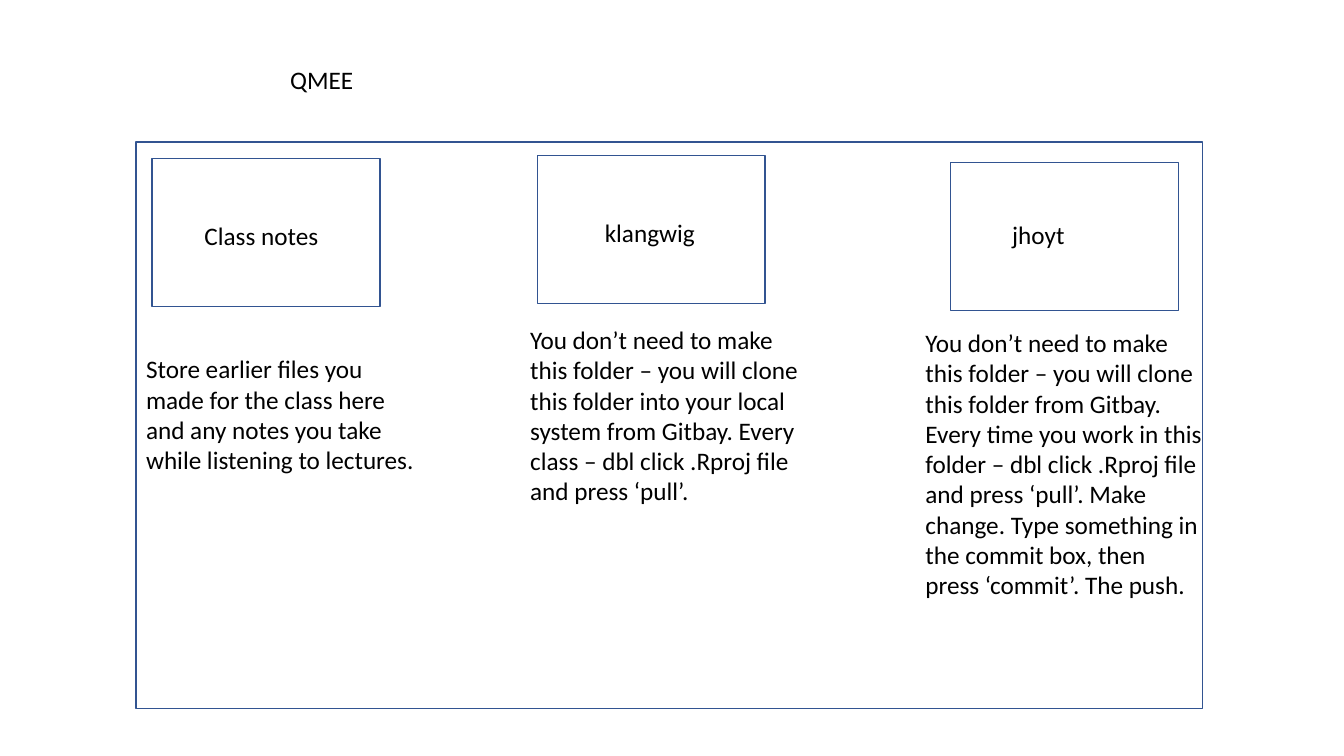
import dataclasses
import pptx
import pptx.dml.color
import pptx.enum.shapes
import pptx.enum.text
import pptx.util

Inches = pptx.util.Inches


@dataclasses.dataclass(frozen=True)
class Theme:
    """Colours, font and sizes of the slide."""
    line: str = "325491"
    text: str = "000000"
    font: str = "Calibri"
    size: int = 18
    line_width: int = 1


THEME = Theme()
FOLDER_SIZE = (2.26, 1.47)
NOTE_WIDTH = 2.95
LABEL_HEIGHT = 0.4

FOLDERS = [
    dict(box=(1.51, 1.57), name="Class notes", label=(0.42, 0.57, 1.34),
         note_at=(-0.16, 1.89, 1.31),
         note="Store earlier files you made for the class here and any notes "
              "you take while listening to lectures."),
    dict(box=(5.33, 1.54), name="klangwig", label=(0.57, 0.57, 1.1),
         note_at=(-0.17, 1.63, 1.92),
         note="You don’t need to make this folder – you will clone this folder "
              "into your local system from Gitbay. Every class – dbl click "
              ".Rproj file and press ‘pull’."),
    dict(box=(9.43, 1.61), name="jhoyt", label=(0.51, 0.52, 0.73),
         note_at=(-0.35, 1.59, 2.83),
         note="You don’t need to make this folder – you will clone this folder "
              "from Gitbay. Every time you work in this folder – dbl click "
              ".Rproj file and press ‘pull’. Make change. Type something in "
              "the commit box, then press ‘commit’. The push."),
]


def add_frame(s, x, y, w, h):
    """Draw an unfilled outlined rectangle."""
    sp = s.shapes.add_shape(pptx.enum.shapes.MSO_SHAPE.RECTANGLE,
                            Inches(x), Inches(y), Inches(w), Inches(h))
    sp.shadow.inherit = False
    sp.fill.background()
    sp.line.color.rgb = pptx.dml.color.RGBColor.from_string(THEME.line)
    sp.line.width = pptx.util.Pt(THEME.line_width)


def add_text(s, text, x, y, w, h, wrap=False):
    """Place one paragraph of text in a box."""
    tf = s.shapes.add_textbox(Inches(x), Inches(y), Inches(w), Inches(h)).text_frame
    tf.word_wrap = wrap
    tf.auto_size = pptx.enum.text.MSO_AUTO_SIZE.SHAPE_TO_FIT_TEXT
    r = tf.paragraphs[0].add_run()
    r.text = text
    for name, value in dict(name=THEME.font, size=pptx.util.Pt(THEME.size)).items():
        setattr(r.font, name, value)
    r.font.color.rgb = pptx.dml.color.RGBColor.from_string(THEME.text)


def add_folder(s, box, name, label, note_at, note):
    """Draw a named folder with its instructions below, relative to its corner."""
    x, y = box
    add_frame(s, x, y, *FOLDER_SIZE)
    dx, dy, w = label
    add_text(s, name, x + dx, y + dy, w, LABEL_HEIGHT)
    dx, dy, h = note_at
    add_text(s, note, x + dx, y + dy, NOTE_WIDTH, h, wrap=True)


def add_course(s, x, y, w, h):
    """Draw the course folder with its title above and subfolders inside."""
    add_frame(s, x, y, w, h)
    add_text(s, "QMEE", x + 1.43, y - 0.82, 0.83, LABEL_HEIGHT)
    for folder in FOLDERS:
        add_folder(s, **folder)


def main():
    """Build and save the slide."""
    prs = pptx.Presentation()
    prs.slide_width, prs.slide_height = Inches(13.33), Inches(7.5)
    s = prs.slides.add_slide(prs.slide_layouts[6])
    add_course(s, 1.35, 1.41, 10.58, 5.62)
    prs.save("out.pptx")


if __name__ == "__main__":
    main()
